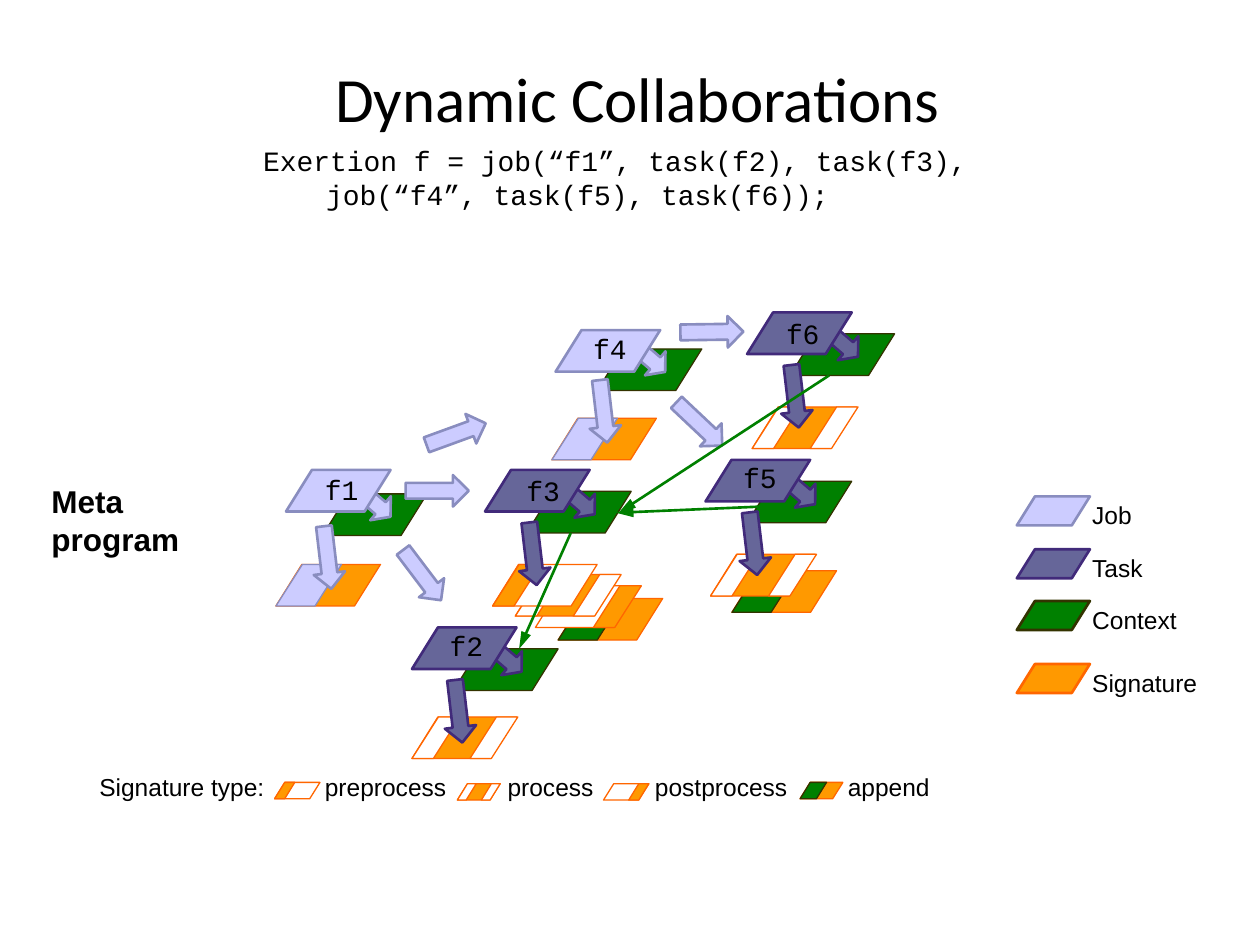
from dataclasses import dataclass

from lxml import etree
from pptx import Presentation
from pptx.dml.color import RGBColor
from pptx.enum.shapes import MSO_CONNECTOR, MSO_SHAPE
from pptx.enum.text import MSO_ANCHOR, MSO_AUTO_SIZE, PP_ALIGN
from pptx.oxml.ns import qn
from pptx.util import Emu, Pt

PARALLELOGRAM = MSO_SHAPE.PARALLELOGRAM
RIGHT_ARROW = MSO_SHAPE.RIGHT_ARROW
STRAIGHT = MSO_CONNECTOR.STRAIGHT
PX = 9144  # EMU per px, 100 px to the inch
SLANT = 0.625
CARD_W, CARD_H = 83, 33


@dataclass(frozen=True)
class Theme:
    # (fill, line) pairs
    job: tuple = ("CCCCFF", "898DBF")
    task: tuple = ("666699", "412A7A")
    context: tuple = ("008000", "333300")
    signature: tuple = ("FF9900", "FF6600")
    blank: tuple = ("FFFFFF", "FF6600")
    link: str = "008000"
    ink: str = "000000"
    title_font: str = "Calibri"
    body_font: str = "Arial"
    code_font: str = "Courier New"
    title_size: int = 36
    heading_size: int = 18
    code_size: int = 16
    label_size: int = 14
    thin: float = 0.75
    thick: float = 1.5


THEME = Theme()

# Signature type: base colours, then bands as (start, share, colours)
PATTERNS = {
    "job": (THEME.signature, [(0, 0.5, THEME.job)]),
    "append": (THEME.signature, [(0, 0.5, THEME.context)]),
    "preprocess": (THEME.blank, [(0, 0.27, THEME.signature)]),
    "process": (THEME.signature, [(0, 0.27, THEME.blank), (0.73, 0.27, THEME.blank)]),
    "postprocess": (THEME.blank, [(0.73, 0.27, THEME.signature)]),
}


class SlideBuilder:
    def __init__(self, slide, theme):
        self.s = slide
        self.theme = theme

    def paint(self, sp, colours, width):
        fill, line = colours
        sp.shadow.inherit = False
        sp.fill.solid()
        sp.fill.fore_color.rgb = RGBColor.from_string(fill)
        sp.line.color.rgb = RGBColor.from_string(line)
        sp.line.width = Pt(width)

    def run(self, p, text, font, size, bold=False):
        r = p.add_run()
        r.text = text
        r.font.name, r.font.size, r.font.bold = font, Pt(size), bold
        r.font.color.rgb = RGBColor.from_string(self.theme.ink)

    def title(self, text, x, y, w, h):
        sp = self.s.shapes.title
        sp.left, sp.top, sp.width, sp.height = (Emu(v * PX) for v in (x, y, w, h))
        tf = sp.text_frame
        tf.vertical_anchor = MSO_ANCHOR.MIDDLE
        p = tf.paragraphs[0]
        p.alignment = PP_ALIGN.CENTER
        self.run(p, text, self.theme.title_font, self.theme.title_size)

    def text(self, lines, x, y, w, h, font, size, bold=False, wrap=False, tabs=()):
        sp = self.s.shapes.add_textbox(*(Emu(v * PX) for v in (x, y, w, h)))
        tf = sp.text_frame
        tf.word_wrap = wrap
        tf.auto_size = MSO_AUTO_SIZE.SHAPE_TO_FIT_TEXT
        for i, line in enumerate(lines):
            p = tf.add_paragraph() if i else tf.paragraphs[0]
            if tabs:
                tab_list = etree.SubElement(p._p.get_or_add_pPr(), qn("a:tabLst"))
                for pos in tabs:
                    etree.SubElement(tab_list, qn("a:tab"), pos=str(pos * PX), algn="l")
            self.run(p, line, font, size, bold)

    def card(self, x, y, colours, width, w=CARD_W, h=CARD_H):
        sp = self.s.shapes.add_shape(PARALLELOGRAM, *(Emu(v * PX) for v in (x, y, w, h)))
        sp.adjustments[0] = SLANT
        self.paint(sp, colours, width)

    def band(self, x, y, w, h, colours):
        slant = round(SLANT * h)
        builder = self.s.shapes.build_freeform(x, y + h, scale=PX)
        builder.add_line_segments([(x + w, y + h), (x + w + slant, y), (x + slant, y)])
        self.paint(builder.convert_to_shape(), colours, self.theme.thin)

    def signature(self, kind, x, y, w=CARD_W, h=CARD_H):
        base, bands = PATTERNS[kind]
        self.card(x, y, base, self.theme.thin, w, h)
        foot = w - SLANT * h
        for start, share, colours in bands:
            self.band(x + round(start * foot), y, round(share * foot), h, colours)

    def arrow(self, x, y, angle, colours, w=50, head=0.5):
        sp = self.s.shapes.add_shape(RIGHT_ARROW, *(Emu(v * PX) for v in (x, y, w, 25)))
        sp.adjustments[0], sp.adjustments[1] = 0.5, head
        sp.rotation = angle
        self.paint(sp, colours, self.theme.thick)

    def link(self, x1, y1, x2, y2):
        cx = self.s.shapes.add_connector(STRAIGHT, *(Emu(v * PX) for v in (x1, y1, x2, y2)))
        cx.line.color.rgb = RGBColor.from_string(self.theme.link)
        cx.line.width = Pt(self.theme.thick)
        etree.SubElement(cx.line._get_or_add_ln(), qn("a:tailEnd"),
                         type="triangle", w="med", len="lg")
        etree.SubElement(cx._element.spPr, qn("a:effectLst"))


# Node: name, colours, card, context, signature arrow, label
NODES = [
    ("f5", THEME.task, (560, 365), (593, 382), (573, 419), (580, 361)),
    ("f6", THEME.task, (593, 248), (627, 265), (606, 302), (614, 246)),
    ("f3", THEME.task, (385, 373), (418, 390), (398, 427), (408, 371)),
    ("f1", THEME.job, (227, 373), (256, 392), (235, 430), (248, 370)),
    ("f4", THEME.job, (441, 262), (474, 277), (454, 314), (461, 258)),
    ("f2", THEME.task, (327, 498), (360, 515), (339, 552), (347, 494)),
]
CALLS = [(322, 377, 0), (337, 332, 340), (310, 444, 52.9), (540, 251, 359.2), (530, 324, 43.3)]
SIGNATURES = [
    ("job", 438, 332), ("job", 219, 448),
    ("append", 443, 475), ("postprocess", 425, 465), ("process", 409, 456),
    ("preprocess", 391, 448), ("process", 597, 323), ("append", 581, 453),
    ("process", 564, 440), ("process", 327, 569),
]
LEGEND = [
    ("Job", THEME.job, 394, 52), ("Task", THEME.task, 436, 62),
    ("Context", THEME.context, 477, 87), ("Signature", THEME.signature, 527, 104),
]
# Signature type key: kind, swatch x, swatch y, swatch width, word x
TYPE_KEY = [
    ("preprocess", 218, 621, 36, 258), ("process", 363, 622, 34, 403),
    ("postprocess", 479, 622, 36, 520), ("append", 635, 621, 34, 673),
]
LINKS = [(453, 423, 412, 515), (606, 402, 489, 407), (658, 298, 491, 407)]


def main():
    prs = Presentation()
    prs.slide_width, prs.slide_height = Emu(1000 * PX), Emu(750 * PX)
    t = THEME
    b = SlideBuilder(prs.slides.add_slide(prs.slide_layouts[5]), t)
    b.title("Dynamic Collaborations", 81, 17, 850, 121)

    # Contexts, each with the arrow from its node
    for _, colours, _, (x, y), _, _ in NODES:
        b.card(x, y, t.context, t.thin)
        b.arrow(x + 17, y - 8, 40.6, colours, w=42, head=0.417)

    # Calls from jobs to their parts
    for x, y, angle in CALLS:
        b.arrow(x, y, angle, t.job)

    # Signatures and the arrows to them
    for kind, x, y in SIGNATURES:
        b.signature(kind, x, y)
    for _, colours, _, _, (x, y), _ in NODES:
        b.arrow(x, y, 83.3, colours)

    # Legend
    for name, colours, y, w in LEGEND:
        b.card(807, y, colours, t.thick, 58, 23)
        b.text([name], 857, y - 2, w, 33, t.body_font, t.label_size)

    # Signature type key
    key_x, inset = 69, 10
    b.text(["\t".join(["Signature type:"] + [item[0] for item in TYPE_KEY])],
           key_x, 608, 686, 34, t.body_font, t.label_size, wrap=True,
           tabs=[item[4] - key_x - inset for item in TYPE_KEY])
    for kind, x, y, w, _ in TYPE_KEY:
        b.signature(kind, x, y, w, 13)

    # Heading and code
    b.text(["Meta", "program"], 31, 378, 123, 71, t.body_font, t.heading_size, bold=True)
    b.text(["Exertion f = job(“f1”, task(f2), task(f3),", "\tjob(“f4”, task(f5), task(f6));"],
           199, 109, 612, 64, t.code_font, t.code_size, wrap=True, tabs=[50])

    # Data links between contexts
    for ends in LINKS:
        b.link(*ends)

    # Nodes and their names
    for _, colours, (x, y), _, _, _ in NODES:
        b.card(x, y, colours, t.thick)
    for name, _, _, _, _, (x, y) in sorted(NODES):
        b.text([name], x, y, 47, 37, t.code_font, t.code_size)

    prs.save("out.pptx")


if __name__ == "__main__":
    main()
